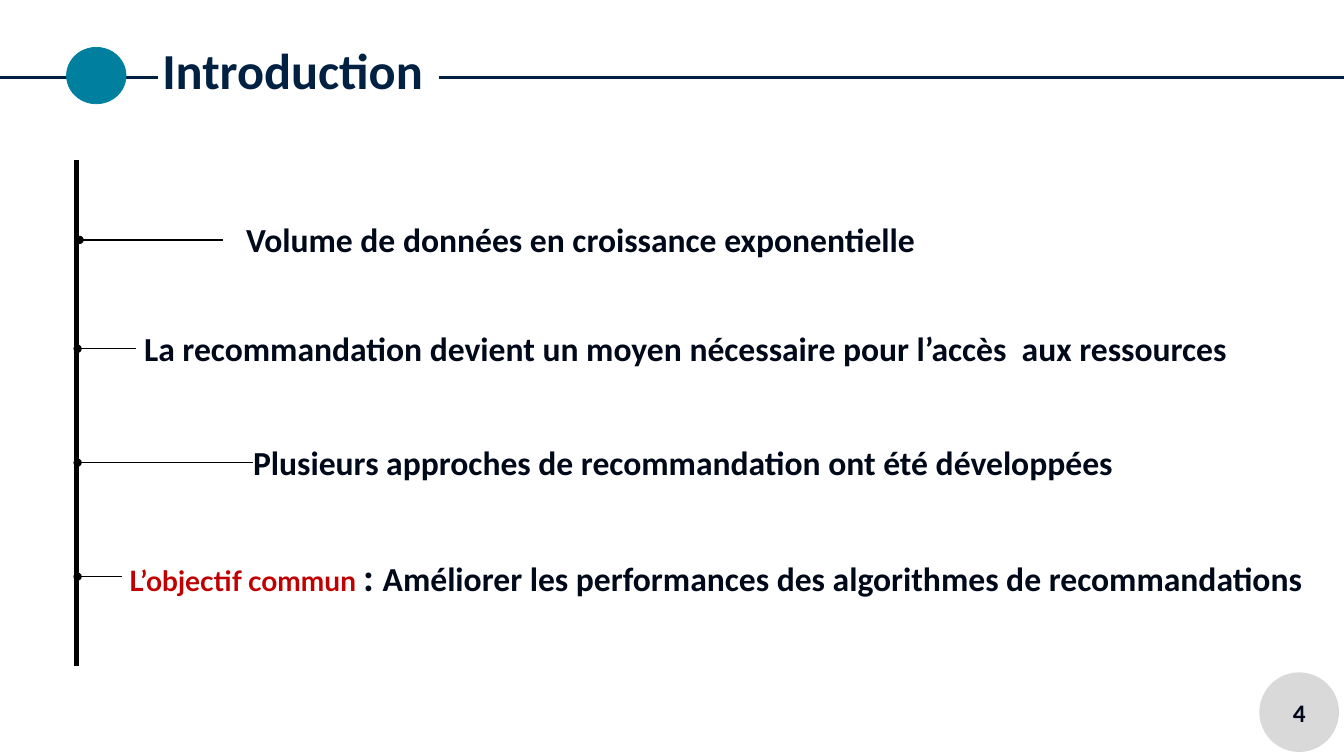
from lxml import etree
from pptx import Presentation
from pptx.dml.color import RGBColor
from pptx.enum.shapes import MSO_CONNECTOR, MSO_SHAPE
from pptx.enum.text import MSO_ANCHOR, PP_ALIGN
from pptx.oxml.ns import qn
from pptx.util import Inches, Pt

STRAIGHT = MSO_CONNECTOR.STRAIGHT
OVAL = MSO_SHAPE.OVAL
MIDDLE, BOTTOM = MSO_ANCHOR.MIDDLE, MSO_ANCHOR.BOTTOM
LEFT, CENTER = PP_ALIGN.LEFT, PP_ALIGN.CENTER

NAVY = RGBColor(0x00, 0x21, 0x42)
INK = RGBColor(0x00, 0x09, 0x1A)
TEAL = RGBColor(0x00, 0x80, 0x9E)
GREY = RGBColor(0xD9, 0xD9, 0xD9)
RED = RGBColor(0xC0, 0x00, 0x00)
BLACK = RGBColor(0x00, 0x00, 0x00)

WIDTH, HEIGHT = 13.33, 7.5
TITLE_Y = 0.77
SPINE_X = 0.76
ROW_HEIGHT = 0.76
TEXT_LIFT = 0.01

BODY = {"name": "Calibri", "size": Pt(24), "bold": True, "color": INK}
TITLE = {**BODY, "size": Pt(36), "color": NAVY}
NUMBER = {**BODY, "size": Pt(18)}
COLON = {**BODY, "size": Pt(28)}
GOAL = {**BODY, "name": "Lato", "size": Pt(20), "color": RED}

ROWS = [
    (2.38, 0.79, 2.21, 2.44,
     [("Volume de données en croissance exponentielle", BODY)]),
    (3.46, 0.77, 1.35, 1.43,
     [("La recommandation devient un moyen nécessaire pour l’accès  aux ressources", BODY)]),
    (4.59, 0.77, 2.51, 2.51,
     [("Plusieurs approches de recommandation ont été développées", BODY)]),
    (5.72, 0.77, 1.21, 1.28,
     [("L’objectif commun ", GOAL), (": ", COLON),
      ("Améliorer les performances des algorithmes de recommandations", BODY)]),
]


def add_line(s, x1, y1, x2, y2, color, width, dotted=False):
    """Draw a straight line, with a round dot at its start if dotted."""
    sp = s.shapes.add_connector(STRAIGHT, Inches(x1), Inches(y1), Inches(x2), Inches(y2))
    sp.line.color.rgb = color
    sp.line.width = Pt(width)
    if dotted:
        etree.SubElement(sp.line._get_or_add_ln(), qn("a:headEnd"), type="oval")
    etree.SubElement(sp._element.spPr, qn("a:effectLst"))


def add_circle(s, x, y, w, h, fill):
    """Draw a filled ellipse without outline or shadow."""
    sp = s.shapes.add_shape(OVAL, Inches(x), Inches(y), Inches(w), Inches(h))
    sp.shadow.inherit = False
    sp.fill.solid()
    sp.fill.fore_color.rgb = fill
    sp.line.fill.background()
    return sp


def write(tf, runs, anchor, align, margins):
    """Fill a text frame with one paragraph of formatted runs."""
    tf.word_wrap = True
    tf.vertical_anchor = anchor
    for side, inset in zip(("left", "top", "right", "bottom"), margins):
        setattr(tf, f"margin_{side}", Inches(inset))
    p = tf.paragraphs[0]
    p.alignment = align
    for text, style in runs:
        r = p.add_run()
        r.text = text
        for key, value in style.items():
            if key == "color":
                r.font.color.rgb = value
            else:
                setattr(r.font, key, value)
    return p


def add_title(s, text):
    """Draw the title with its rule and round marker."""
    add_line(s, 0, TITLE_Y, 1.57, TITLE_Y, NAVY, 2.25)
    add_line(s, 4.35, TITLE_Y, WIDTH, TITLE_Y, NAVY, 2.25)
    sp = add_circle(s, 0.66, 0.47, 0.59, 0.56, TEAL)
    sp.line.color.rgb = TEAL
    sp.line.width = Pt(0.5)
    sp = s.shapes.add_textbox(Inches(1.48), Inches(0.27 - TEXT_LIFT), Inches(6.06), Inches(0.87))
    p = write(sp.text_frame, [(text, TITLE)], BOTTOM, LEFT, [0.13] * 4)
    p.line_spacing = 0.9


def add_row(s, y, start, end, left, runs):
    """Draw one branch of the spine and the statement beside it."""
    add_line(s, start, y, end, y, BLACK, 1, dotted=True)
    top = y - ROW_HEIGHT / 2 - TEXT_LIFT
    sp = s.shapes.add_textbox(Inches(left), Inches(top), Inches(WIDTH - left), Inches(ROW_HEIGHT))
    write(sp.text_frame, runs, MIDDLE, LEFT, (0, 0.12, 0.12, 0.12))


def add_page_number(s, number):
    """Draw the page number in its grey disc."""
    sp = add_circle(s, 12.49, 6.67, 0.79, 0.79, GREY)
    write(sp.text_frame, [(number, NUMBER)], MIDDLE, CENTER, (0.1, 0.05, 0.1, 0.05))


def main():
    """Build the introduction slide."""
    prs = Presentation()
    prs.slide_width, prs.slide_height = Inches(WIDTH), Inches(HEIGHT)
    s = prs.slides.add_slide(prs.slide_layouts[6])
    add_page_number(s, "4")
    add_title(s, "Introduction")
    add_line(s, SPINE_X, 6.61, SPINE_X, 1.59, BLACK, 3.5)
    for row in ROWS:
        add_row(s, *row)
    prs.save("out.pptx")


if __name__ == "__main__":
    main()
